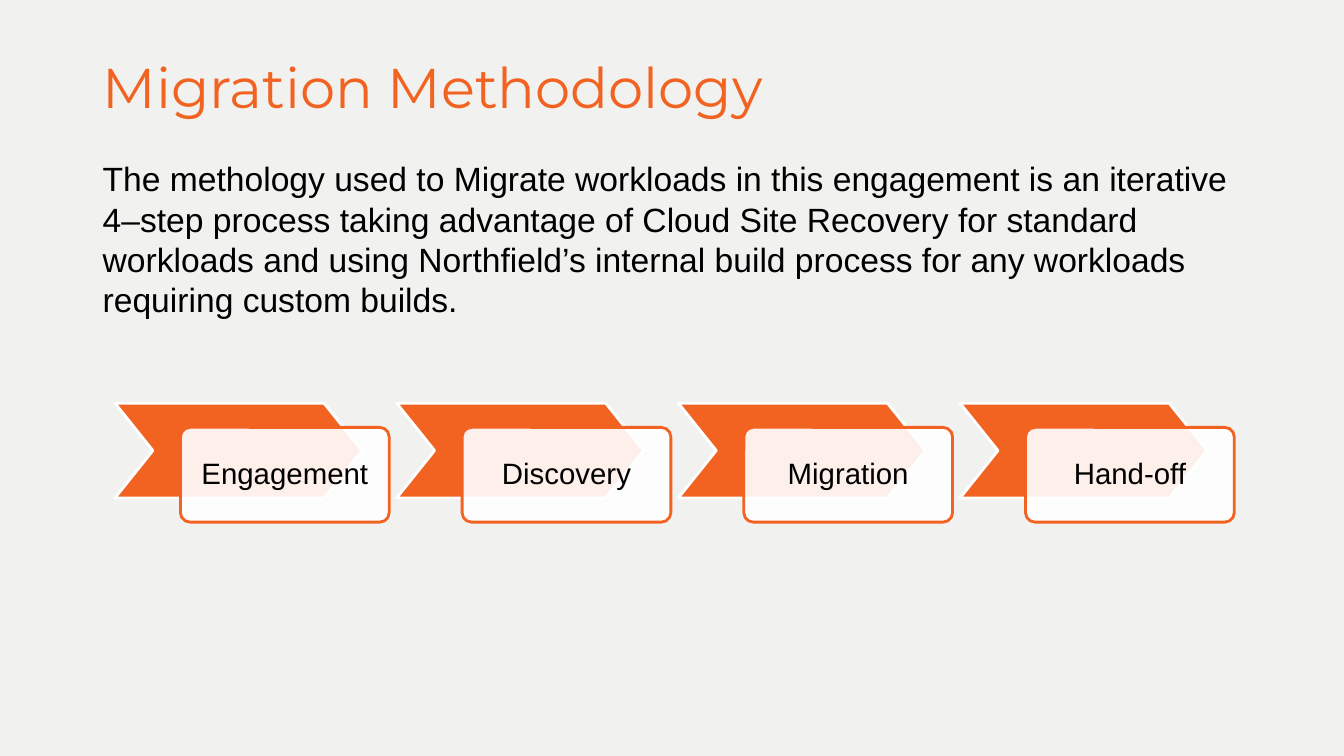
from pptx import Presentation
from pptx.dml.color import RGBColor
from pptx.enum.shapes import MSO_SHAPE
from pptx.enum.text import MSO_ANCHOR, PP_ALIGN
from pptx.oxml.ns import qn
from pptx.util import Inches, Pt
from lxml import etree

ORANGE, WHITE, BLACK, PAPER = "F26322", "FFFFFF", "000000", "F1F1EF"
STEPS = ["Engagement", "Discovery", "Migration", "Hand-off"]
STEP_LEFT, STEP_PITCH = 1.14, 2.794


def write(shape, text, font, align, spacing, inset, anchor):
    frame = shape.text_frame
    frame.word_wrap = True
    frame.vertical_anchor = anchor
    frame.margin_left = frame.margin_right = Inches(inset)
    frame.margin_top = frame.margin_bottom = Inches(0.05)
    para = frame.paragraphs[0]
    para.alignment, para.line_spacing = align, spacing
    span = para.add_run()
    span.text = text
    span.font.color.rgb = RGBColor.from_string(font["color"])
    for name in ("name", "size"):
        setattr(span.font, name, font[name])


def add_block(kind, left, top, width, adjustment, fill, line):
    block = page.shapes.add_shape(
        kind, Inches(left), Inches(top), Inches(width), Inches(0.94))
    block.shadow.inherit = False
    block.adjustments[0] = adjustment
    block.fill.solid()
    block.fill.fore_color.rgb = RGBColor.from_string(fill)
    block.line.color.rgb = RGBColor.from_string(line)
    block.line.width = Pt(2)
    return block


deck = Presentation()
deck.slide_width, deck.slide_height = Inches(13.33), Inches(7.5)
page = deck.slides.add_slide(deck.slide_layouts[5])
page.background.fill.solid()
page.background.fill.fore_color.rgb = RGBColor.from_string(PAPER)

# Title
title = page.shapes.title
title.left, title.top = Inches(0.92), Inches(0.4)
title.width, title.height = Inches(11.5), Inches(0.99)
write(title, "Migration Methodology",
      {"name": "Montserrat", "size": Pt(40), "color": ORANGE},
      PP_ALIGN.LEFT, 0.9, 0.1, MSO_ANCHOR.MIDDLE)

# Introduction
intro = page.shapes.add_textbox(
    Inches(0.92), Inches(1.52), Inches(11.58), Inches(1.72))
write(intro,
      "The methology used to Migrate workloads in this engagement is an "
      "iterative 4–step process taking advantage of Cloud Site Recovery for "
      "standard workloads and using Northfield’s internal build process for "
      "any workloads requiring custom builds.",
      {"name": "Arial", "size": Pt(24), "color": BLACK},
      PP_ALIGN.LEFT, 1.0, 0.1, MSO_ANCHOR.TOP)

# Process steps: a chevron with a label card over its lower right
for index, step in enumerate(STEPS):
    left = STEP_LEFT + index * STEP_PITCH
    add_block(MSO_SHAPE.CHEVRON, left, 4, 2.45, 0.4, ORANGE, WHITE)
    card = add_block(MSO_SHAPE.ROUNDED_RECTANGLE, left + 0.65, 4.24, 2.07,
                     0.1, WHITE, ORANGE)
    # Card fill at 90% opacity
    card_color = card.fill._xPr.find(qn("a:solidFill")).find(qn("a:srgbClr"))
    etree.SubElement(card_color, qn("a:alpha")).set("val", "90000")
    write(card, step, {"name": "Arial", "size": Pt(21), "color": BLACK},
          PP_ALIGN.CENTER, 0.9, 0.16, MSO_ANCHOR.MIDDLE)

deck.save("out.pptx")
